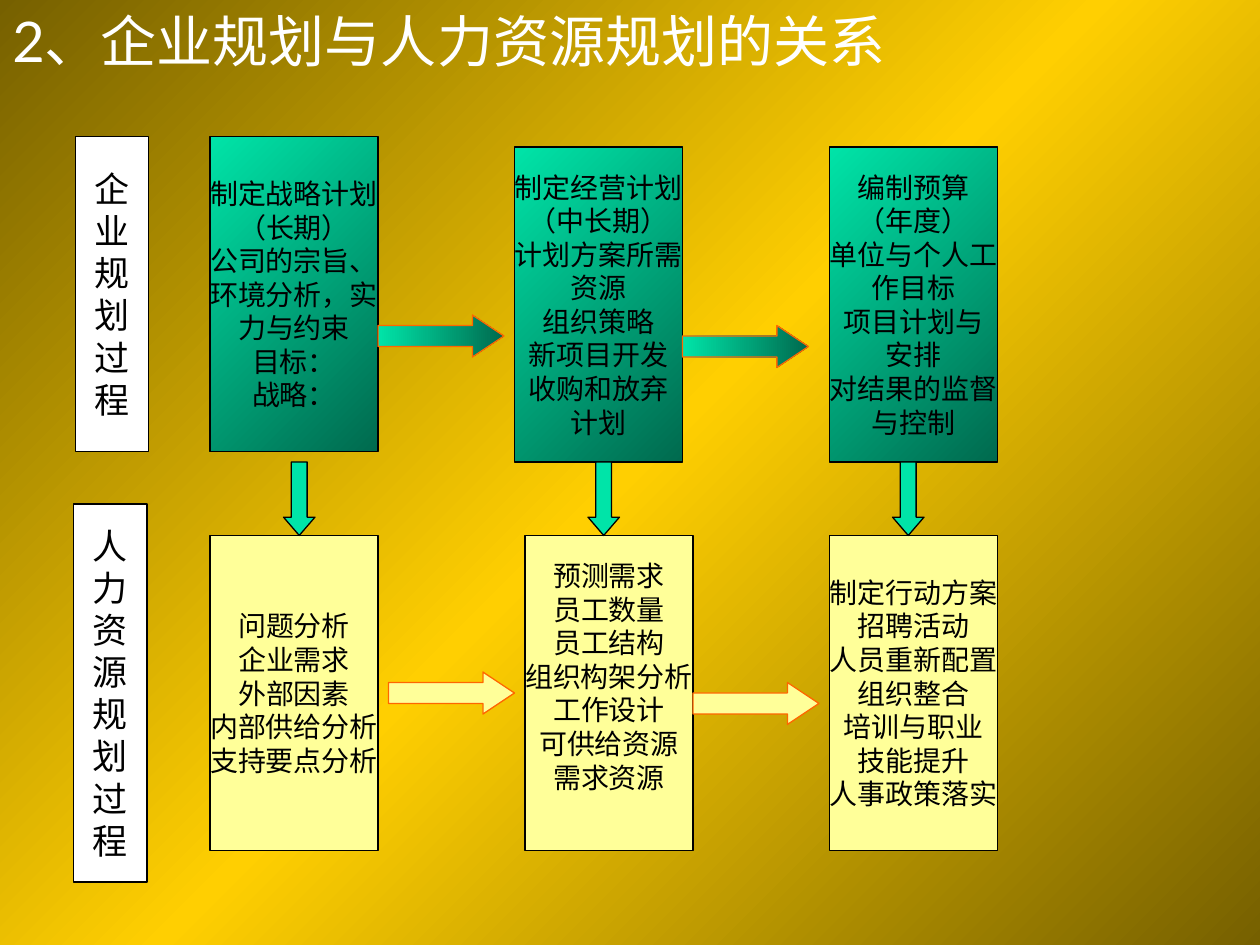
"""Build the slide relating business planning to human resource planning."""
from copy import deepcopy

from pptx import Presentation
from pptx import util as u
from pptx.dml.color import RGBColor
from pptx.enum import shapes, text
from pptx.oxml.ns import qn

WHITE = RGBColor(0xFF, 0xFF, 0xFF)
BLACK = RGBColor(0x00, 0x00, 0x00)
GOLD = RGBColor(0xFF, 0xCF, 0x01)
BROWN = RGBColor(0x76, 0x60, 0x00)
GREEN = RGBColor(0x00, 0xE4, 0xA8)
DARK_GREEN = RGBColor(0x00, 0x6A, 0x4E)
YELLOW = RGBColor(0xFF, 0xFF, 0x99)
ORANGE = RGBColor(0xFF, 0x66, 0x00)

presentation = Presentation()
presentation.slide_width, presentation.slide_height = u.Pt(720), u.Pt(540)
slide = presentation.slides.add_slide(presentation.slide_layouts[6])


def add_shape(kind, left, top, width, height, colors, line=BLACK, angle=0):
    shape = slide.shapes.add_shape(kind, u.Pt(left), u.Pt(top), u.Pt(width), u.Pt(height))
    shape.shadow.inherit = False
    if len(colors) == 1:
        shape.fill.solid()
        shape.fill.fore_color.rgb = colors[0]
    else:
        shape.fill.gradient()
        shape.fill.gradient_angle = 360 - angle
        stop_list = next(shape._element.iter(qn("a:gsLst")))
        for _ in colors[2:]:
            stop_list.append(deepcopy(stop_list[0]))
        for index, (stop, color) in enumerate(zip(shape.fill.gradient_stops, colors)):
            stop.position = index / (len(colors) - 1)
            stop.color.rgb = color
    if line is None:
        shape.line.fill.background()
    else:
        shape.line.color.rgb = line
        shape.line.width = u.Pt(0.75)
    return shape


def write(shape, lines, size=16, font="Times New Roman", color=BLACK, wrap=False,
          align=text.PP_ALIGN.CENTER, anchor=text.MSO_ANCHOR.MIDDLE, bottom=3.6):
    frame = shape.text_frame
    frame.word_wrap = wrap
    frame.vertical_anchor = anchor
    frame.margin_left = frame.margin_right = u.Pt(7.2)
    frame.margin_top, frame.margin_bottom = u.Pt(3.6), u.Pt(bottom)
    frame.text = "\n".join(lines)
    for paragraph in frame.paragraphs:
        paragraph.alignment = align
        for run in paragraph.runs:
            run.font.size = u.Pt(size)
            run.font.name = font
            run.font.color.rgb = color


RECTANGLE = shapes.MSO_SHAPE.RECTANGLE
background = add_shape(RECTANGLE, 0, 0, 720, 540, [BROWN, GOLD, BROWN], line=None, angle=45)
write(background, ["2、企业规划与人力资源规划的关系"], size=32, font="Lato", color=WHITE,
      wrap=True, align=text.PP_ALIGN.LEFT, anchor=text.MSO_ANCHOR.TOP)

for left, top, height, label in [(43, 78, 180, "企业规划过程"), (42, 288, 216, "人力资源规划过程")]:
    write(add_shape(RECTANGLE, left, top, 42, height, [WHITE]), label, size=20)

business_steps = [
    (120, 78, ["制定战略计划", "（长期）", "公司的宗旨、", "环境分析，实", "力与约束", "目标：", "战略："]),
    (294, 84, ["制定经营计划", "（中长期）", "计划方案所需", "资源", "组织策略", "新项目开发",
               "收购和放弃", "计划"]),
    (474, 84, ["编制预算", "（年度）", "单位与个人工", "作目标", "项目计划与", "安排",
               "对结果的监督", "与控制"]),
]
for left, top, lines in business_steps:
    write(add_shape(RECTANGLE, left, top, 96, 180, [GREEN, DARK_GREEN], angle=45), lines)

staffing_steps = [
    (120, 3.6, ["问题分析", "企业需求", "外部因素", "内部供给分析", "支持要点分析"]),
    (300, 22.8, ["预测需求", "员工数量", "员工结构", "组织构架分析", "工作设计", "可供给资源",
                 "需求资源"]),
    (474, 3.6, ["制定行动方案", "招聘活动", "人员重新配置", "组织整合", "培训与职业", "技能提升",
                "人事政策落实"]),
]
for left, bottom, lines in staffing_steps:
    write(add_shape(RECTANGLE, left, 306, 96, 180, [YELLOW]), lines, bottom=bottom)

across_arrows = [
    (216, 180, [GREEN, DARK_GREEN]),
    (390, 186, [GREEN, DARK_GREEN]),
    (222, 384, [YELLOW]),
    (396, 390, [YELLOW]),
]
for left, top, colors in across_arrows:
    arrow = add_shape(shapes.MSO_SHAPE.RIGHT_ARROW, left, top, 72, 24, colors, line=ORANGE)
    arrow.adjustments[1] = 0.75

for column in range(3):
    arrow = add_shape(shapes.MSO_SHAPE.DOWN_ARROW, 162 + 174 * column, 264, 18, 42, [GREEN])
    arrow.adjustments[1] = 0.58

presentation.save("out.pptx")
